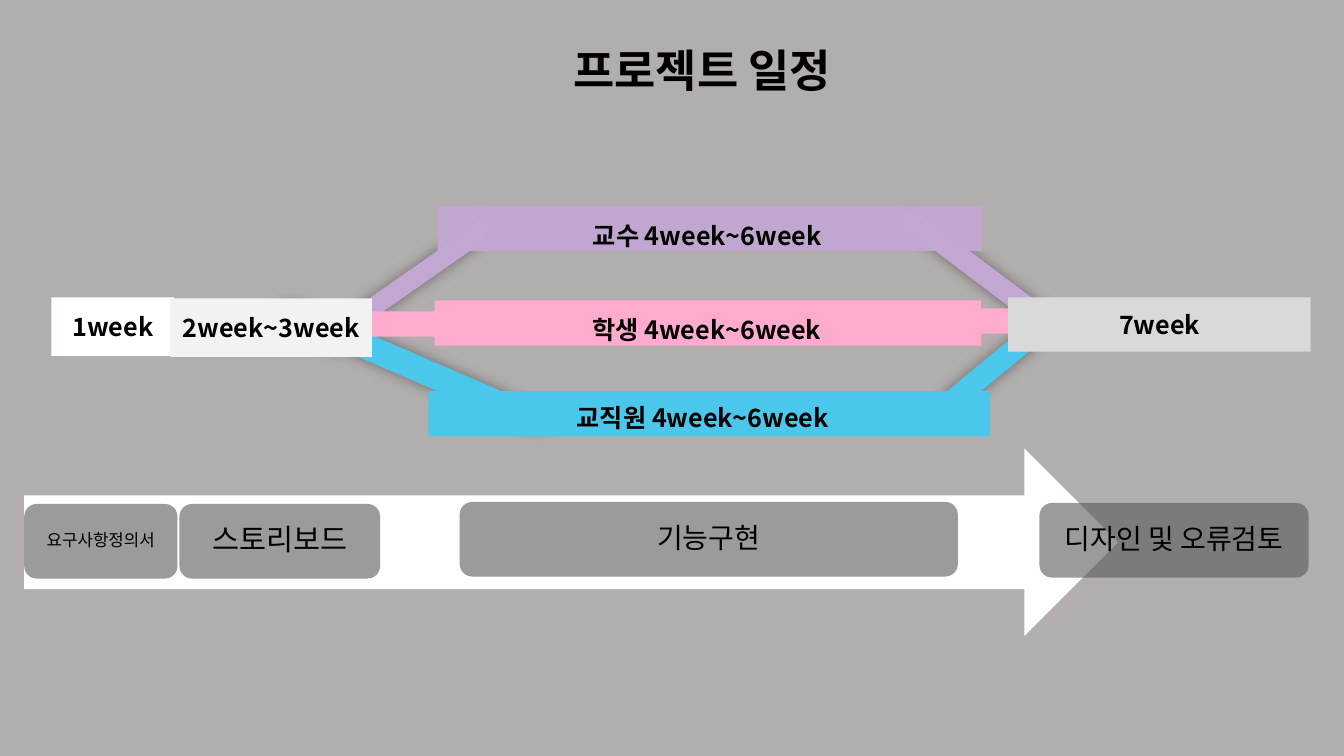
import pptx
import pptx.util
import pptx.dml.color
import pptx.enum.shapes
import pptx.enum.text
import pptx.oxml
import pptx.oxml.ns
from lxml import etree

Inches = pptx.util.Inches
SHAPES = pptx.enum.shapes.MSO_SHAPE
ANCHOR = pptx.enum.text.MSO_ANCHOR
FONT = "Noto Sans CJK KR"
BACKGROUND, WHITE, BLACK, PHASE_GRAY = "B2AEAE", "FFFFFF", "000000", "595959"
PURPLE, PINK, BLUE = "C2A7D2", "FFABCD", "4CC7EC"

TITLE = ("프로젝트 일정", (4.29, 0.11, 5.35, 0.8))
TIMELINE_ARROW = (0.24, 4.45, 10.85, 1.86)
PHASES = [
    ("요구사항정의서", 12, (0.24, 5, 1.52, 0.74)),
    ("기능구현", 20, (4.56, 4.98, 4.94, 0.74)),
    ("디자인 및 오류검토", 20, (10.31, 4.99, 2.67, 0.74)),
    ("스토리보드", 21, (1.78, 5, 1.99, 0.74)),
]
BRANCHES = [
    (BLUE, [(10.3, 3.03), (10.42, 3.17), (10.45, 3.21, 10.42, 3.3, 10.35, 3.37),
            (9.55, 4.03), (9.53, 4.05), (9.49, 4.09, 9.48, 4.13, 9.48, 4.17),
            (9.48, 4.19), (9.36, 4.05), (9.32, 4, 9.35, 3.91, 9.43, 3.85),
            (10.23, 3.19), (10.25, 3.17), (10.28, 3.13, 10.3, 3.08, 10.3, 3.05)]),
    (PURPLE, [(10.61, 3.14), (10.5, 3.29), (10.47, 3.33, 10.35, 3.3, 10.24, 3.22),
              (9.08, 2.34), (9.04, 2.32), (8.98, 2.28, 8.92, 2.27, 8.88, 2.27),
              (8.86, 2.27), (8.97, 2.13), (9, 2.08, 9.12, 2.12, 9.23, 2.2),
              (10.39, 3.07), (10.42, 3.1), (10.49, 3.13, 10.55, 3.15, 10.58, 3.14)]),
    (PURPLE, [(4.76, 2.11), (4.86, 2.24), (4.89, 2.29, 4.81, 2.39, 4.69, 2.47),
              (3.44, 3.34), (3.4, 3.37), (3.34, 3.42, 3.31, 3.47, 3.3, 3.51),
              (3.29, 3.53), (3.19, 3.39), (3.16, 3.35, 3.24, 3.25, 3.36, 3.17),
              (4.61, 2.3), (4.65, 2.27), (4.71, 2.22, 4.74, 2.17, 4.76, 2.13)]),
    (BLUE, [(5.52, 4.01), (5.43, 4.21), (5.41, 4.28, 5.23, 4.26, 5.03, 4.18),
            (3.02, 3.31), (2.96, 3.29), (2.86, 3.25, 2.77, 3.24, 2.72, 3.26),
            (2.68, 3.27), (2.77, 3.06), (2.8, 3, 2.98, 3.02, 3.17, 3.1),
            (5.18, 3.97), (5.24, 3.99), (5.34, 4.02, 5.43, 4.03, 5.48, 4.02)]),
]
STUDENT_LINKS = [(2.98, 3.09, 1.65, 0.25), (9.11, 3.06, 1.57, 0.25)]
TRACKS = [
    ("교수 4week~6week", PURPLE, 97, (4.34, 2.04, 5.4, 0.45), (4.46, 1.99, 5.11, 0.5)),
    ("교직원 4week~6week", BLUE, 100, (4.25, 3.88, 5.57, 0.45), (4.26, 3.79, 5.42, 0.5)),
    ("학생 4week~6week", PINK, 100, (4.31, 2.98, 5.42, 0.45), (4.39, 2.92, 5.24, 0.5)),
]
WEEKS = [
    ("1week", WHITE, (0.51, 2.95, 1.22, 0.58)),
    ("7week", "D9D9D9", (10, 2.95, 3, 0.54)),
    ("2week~3week", "F2F2F2", (1.69, 2.96, 2, 0.58)),
]


def color(hex_string):
    return pptx.dml.color.RGBColor.from_string(hex_string)


def paint(shape, fill, opacity=100):
    shape.shadow.inherit = False
    shape.fill.solid()
    shape.fill.fore_color.rgb = color(fill)
    shape.line.fill.background()
    if opacity < 100:
        swatch = shape.fill._xPr.find(".//" + pptx.oxml.ns.qn("a:srgbClr"))
        etree.SubElement(swatch, pptx.oxml.ns.qn("a:alpha"), val=str(opacity * 1000))
    return shape


def add_block(preset, box, fill, opacity=100):
    return paint(slide.shapes.add_shape(preset, *map(Inches, box)), fill, opacity)


def write(shape, text, size, bold=True, spacing=1.0, anchor=ANCHOR.MIDDLE, side=0.1):
    frame = shape.text_frame
    frame.text = text
    frame.word_wrap = True
    frame.vertical_anchor = anchor
    frame.margin_left = frame.margin_right = Inches(side)
    frame.margin_top = frame.margin_bottom = Inches(0.05)
    paragraph = frame.paragraphs[0]
    paragraph.alignment = pptx.enum.text.PP_ALIGN.CENTER
    paragraph.line_spacing = spacing
    font = paragraph.runs[0].font
    font.size = pptx.util.Pt(size)
    font.bold = bold
    font.color.rgb = color(BLACK)
    font.name = FONT
    etree.SubElement(font._element, pptx.oxml.ns.qn("a:ea"), typeface=FONT)


def trace(outline, steps=6):
    points = [outline[0]]
    for segment in outline[1:]:
        if len(segment) == 2:
            points.append(segment)
            continue
        corners = [points[-1], segment[:2], segment[2:4], segment[4:]]
        for step in range(1, steps + 1):
            t = step / steps
            weights = ((1 - t) ** 3, 3 * t * (1 - t) ** 2, 3 * t * t * (1 - t), t ** 3)
            points.append(tuple(sum(w * c[axis] for w, c in zip(weights, corners))
                                for axis in (0, 1)))
    return points


def add_branch(fill, outline):
    start, *rest = [tuple(map(Inches, point)) for point in trace(outline)]
    builder = slide.shapes.build_freeform(*start)
    builder.add_line_segments(rest, close=True)
    branch = paint(builder.convert_to_shape(), fill)
    effects = branch._element.spPr.find(pptx.oxml.ns.qn("a:effectLst"))
    effects.append(pptx.oxml.parse_xml(
        f'<a:outerShdw {pptx.oxml.ns.nsdecls("a")} blurRad="127000" dist="0" dir="0">'
        f'<a:srgbClr val="{BLACK}"><a:alpha val="40000"/></a:srgbClr></a:outerShdw>'))


deck = pptx.Presentation()
deck.slide_width, deck.slide_height = Inches(13.33), Inches(7.5)
slide = deck.slides.add_slide(deck.slide_layouts[5])
slide.background.fill.solid()
slide.background.fill.fore_color.rgb = color(BACKGROUND)

title_text, title_box = TITLE
title = slide.shapes.title
title.left, title.top, title.width, title.height = map(Inches, title_box)
write(title, title_text, 32, spacing=1.5, anchor=ANCHOR.TOP)
title.text_frame.auto_size = pptx.enum.text.MSO_AUTO_SIZE.NONE

add_block(SHAPES.RIGHT_ARROW, TIMELINE_ARROW, WHITE)
for phase, size, box in PHASES:
    write(add_block(SHAPES.ROUNDED_RECTANGLE, box, PHASE_GRAY, 60),
          phase, size, bold=False, spacing=0.9, side=0.05)

for fill, outline in BRANCHES:
    add_branch(fill, outline)
for box in STUDENT_LINKS:
    add_block(SHAPES.RECTANGLE, box, PINK)
for track, fill, opacity, bar_box, label_box in TRACKS:
    add_block(SHAPES.RECTANGLE, bar_box, fill, opacity)
    label = slide.shapes.add_textbox(*map(Inches, label_box))
    write(label, track, 18, spacing=1.5, anchor=ANCHOR.TOP)
for week, fill, box in WEEKS:
    write(add_block(SHAPES.RECTANGLE, box, fill), week, 18)

deck.save("out.pptx")
